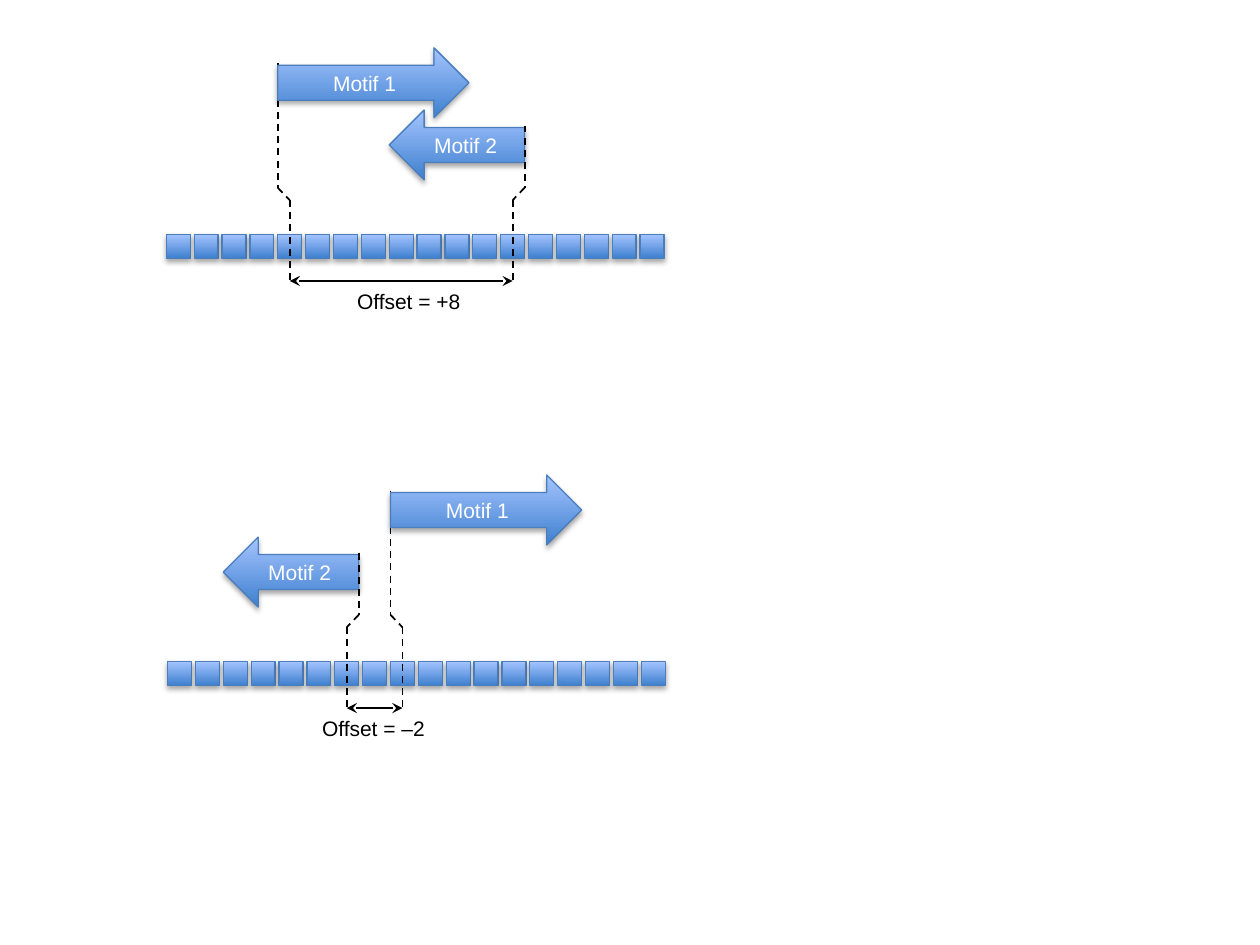
"""Draw two motif arrangements with their offsets along a sequence."""
from dataclasses import dataclass

from lxml.etree import SubElement
from pptx import Presentation
from pptx.dml.color import RGBColor as RGB
from pptx.enum.dml import MSO_LINE as DASH
from pptx.enum.shapes import MSO_CONNECTOR as CONN, MSO_SHAPE as SHAPE
from pptx.enum.text import MSO_ANCHOR as ANCHOR, MSO_AUTO_SIZE as FIT, PP_ALIGN as ALIGN
from pptx.oxml.ns import qn
from pptx.util import Inches, Pt

COL, ROW = 3.76 / 17, 0.37 / 3
CELL = 0.19
CELL_COLS, CELL_ROWS = CELL / COL, CELL / ROW
CELL_COUNT = 18
MOTIF1_CELLS, MOTIF2_CELLS = 7, 5
MOTIF_ROWS = 4.5
MOTIF2_ROW = 4
BEND_ROW, DROP_ROW, CELL_ROW, OFFSET_ROW, LABEL_ROW = 9, 9.8, 12, 15, 15.1


@dataclass
class Theme:
    """Colours, font and point sizes."""
    low: RGB = RGB(0x3F, 0x80, 0xCE)
    high: RGB = RGB(0xA4, 0xC4, 0xFF)
    edge: RGB = RGB(0x4B, 0x7E, 0xBC)
    ink: RGB = RGB(0, 0, 0)
    paper: RGB = RGB(255, 255, 255)
    font: str = "Arial"
    text: float = 12
    border: float = 0.75
    rule: float = 1


class Diagram:
    """Places elements by column and row from the current panel's corner."""

    def __init__(self, slide, theme):
        self.s, self.theme = slide, theme
        self.left = self.top = 0

    def x(self, col):
        """Return the horizontal place of a column."""
        return Inches(self.left + col * COL)

    def y(self, row):
        """Return the vertical place of a row."""
        return Inches(self.top + row * ROW)

    def add_text(self, tf, text, color):
        """Add one styled run and return its paragraph."""
        p = tf.paragraphs[0]
        r = p.add_run()
        r.text = text
        r.font.name, r.font.size = self.theme.font, Pt(self.theme.text)
        r.font.color.rgb = color
        return p

    def block(self, kind, col, row, cols, rows):
        """Add a shape with the gradient, border and soft shadow."""
        sp = self.s.shapes.add_shape(kind, self.x(col), self.y(row),
                                     Inches(cols * COL), Inches(rows * ROW))
        sp.fill.gradient()
        sp.fill.gradient_angle = 90
        for stop, color in zip(sp.fill.gradient_stops, (self.theme.low, self.theme.high)):
            stop.color.rgb = color
        sp.line.color.rgb, sp.line.width = self.theme.edge, Pt(self.theme.border)
        sp.shadow.inherit = False
        effects = sp._element.spPr.find(qn("a:effectLst"))
        shadow = SubElement(effects, qn("a:outerShdw"), blurRad=str(Pt(3.1)),
                            dist=str(Pt(1.8)), dir="5400000", rotWithShape="0")
        color = SubElement(shadow, qn("a:srgbClr"), val=str(self.theme.ink))
        SubElement(color, qn("a:alpha"), val="35000")
        return sp

    def cells(self):
        """Add the row of sequence cells."""
        for col in range(CELL_COUNT):
            self.block(SHAPE.RECTANGLE, col, CELL_ROW, CELL_COLS, CELL_ROWS)

    def motif(self, text, col, row, count, flip=False):
        """Add a labelled arrow that spans a number of cells."""
        sp = self.block(SHAPE.RIGHT_ARROW, col, row, count - 1 + CELL_COLS, MOTIF_ROWS)
        if flip:
            sp._element.spPr.find(qn("a:xfrm")).set("flipH", "1")
        tf = sp.text_frame
        tf.vertical_anchor = ANCHOR.MIDDLE
        self.add_text(tf, text, self.theme.paper).alignment = ALIGN.CENTER

    def line(self, start, end, shapes=None, arrows=False):
        """Add a dashed line, or a solid one with two arrowheads."""
        shapes = shapes or self.s.shapes
        cx = shapes.add_connector(CONN.STRAIGHT, self.x(start[0]), self.y(start[1]),
                                  self.x(end[0]), self.y(end[1]))
        cx.line.color.rgb, cx.line.width = self.theme.ink, Pt(self.theme.rule)
        if arrows:
            ln = cx._element.spPr.find(qn("a:ln"))
            for tag in ("a:headEnd", "a:tailEnd"):
                SubElement(ln, qn(tag), type="stealth")
        else:
            cx.line.dash_style = DASH.DASH
        SubElement(cx._element.spPr, qn("a:effectLst"))

    def drop(self, edge, middle, shapes=None):
        """Lead a motif's edge to a cell's middle and down to the offset."""
        self.line((edge, BEND_ROW), (middle, DROP_ROW), shapes)
        self.line((middle, DROP_ROW), (middle, OFFSET_ROW), shapes)

    def label(self, text, col, row):
        """Add an unwrapped caption."""
        tb = self.s.shapes.add_textbox(self.x(col), self.y(row), Inches(1.03), Inches(0.3))
        tf = tb.text_frame
        tf.word_wrap, tf.auto_size = False, FIT.SHAPE_TO_FIT_TEXT
        self.add_text(tf, text, self.theme.ink)

    def panel(self, left, top, motif1, motif2, offset, label_col):
        """Draw one arrangement from the first columns of its motifs."""
        self.left, self.top = left, top
        last = motif2 + MOTIF2_CELLS - 1
        middle1, middle2 = motif1 + CELL_COLS / 2, last + CELL_COLS / 2
        edge2 = last + CELL_COLS
        self.line((motif1, 1), (motif1, BEND_ROW))
        self.cells()
        self.motif("Motif 1", motif1, 0, MOTIF1_CELLS)
        self.motif("Motif 2", motif2, MOTIF2_ROW, MOTIF2_CELLS, flip=True)
        self.line((min(middle1, middle2), OFFSET_ROW),
                  (max(middle1, middle2), OFFSET_ROW), arrows=True)
        self.label(f"Offset = {offset}", label_col, LABEL_ROW)
        self.drop(motif1, middle1)
        guide = self.s.shapes.add_group_shape().shapes
        self.line((edge2, MOTIF2_ROW + 1), (edge2, BEND_ROW), guide)
        self.drop(edge2, middle2, guide)


def main():
    """Build and save the slide."""
    prs = Presentation()
    prs.slide_width, prs.slide_height = Inches(10), Inches(7.5)
    d = Diagram(prs.slides.add_slide(prs.slide_layouts[6]), Theme())
    d.panel(1.32, 0.38, motif1=4, motif2=8, offset="+8", label_col=6.4)
    d.panel(1.33, 3.77, motif1=8, motif2=2, offset="–2", label_col=5.1)
    prs.save("out.pptx")


if __name__ == "__main__":
    main()
